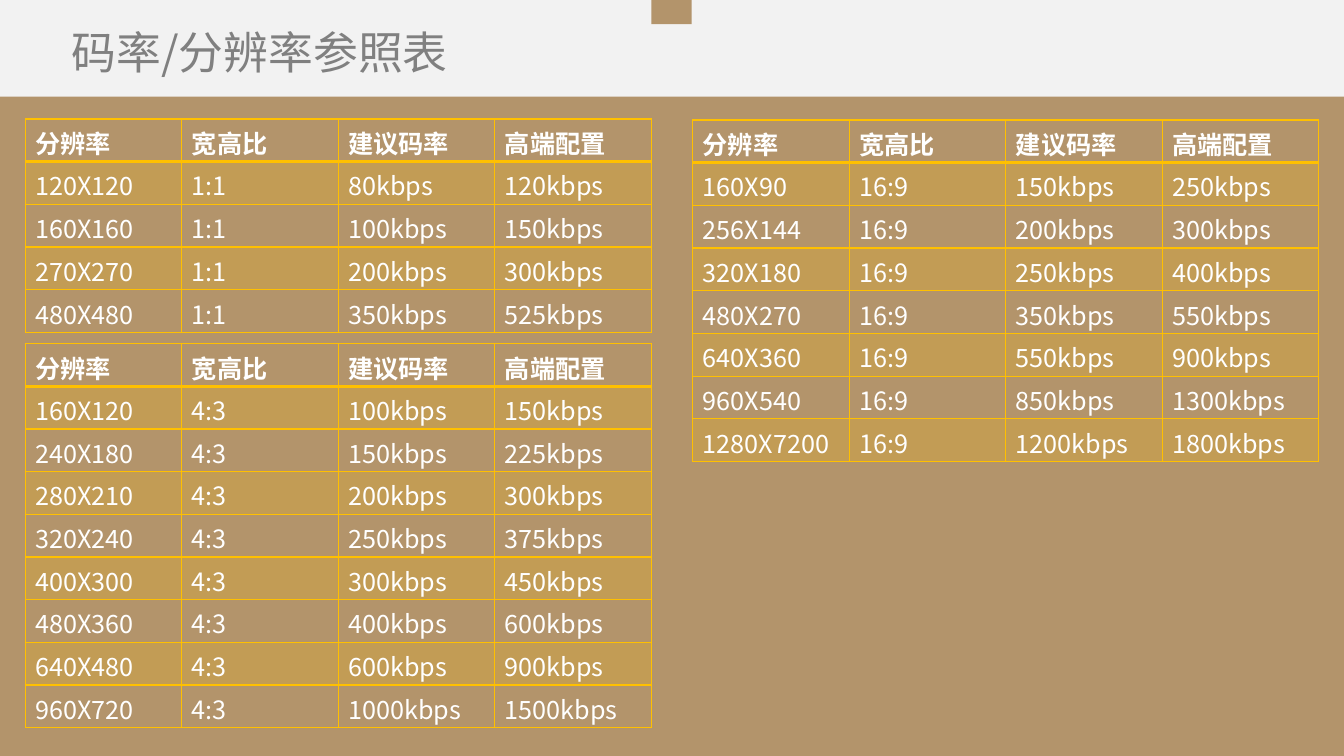
from dataclasses import dataclass
from lxml.etree import SubElement
from pptx import Presentation
from pptx.dml.color import RGBColor
from pptx.enum.shapes import MSO_SHAPE
from pptx.enum.text import MSO_AUTO_SIZE
from pptx.oxml.ns import qn
from pptx.util import Inches, Pt


@dataclass(frozen=True)
class Theme:
    """Colours, font and type sizes."""
    back: str = "F2F2F2"
    tan: str = "B3946B"
    gold: str = "FFC000"
    grey: str = "808080"
    white: str = "FFFFFF"
    font: str = "Noto Sans CJK SC"
    head: int = 32
    body: int = 18
    tint: int = 20


class Page:
    """Draws elements on one slide in one style."""

    def __init__(self, deck, theme):
        self.theme = theme
        self.slide = deck.slides.add_slide(deck.slide_layouts[6])
        fill = self.slide.background.fill
        fill.solid()
        fill.fore_color.rgb = RGBColor.from_string(theme.back)

    def label(self, para, text, size, color, bold=False):
        run = para.add_run()
        run.text = text
        font = run.font
        font.name, font.size, font.bold = self.theme.font, Pt(size), bold
        font.color.rgb = RGBColor.from_string(color)
        east = SubElement(run._r.get_or_add_rPr(), qn("a:ea"))
        east.set("typeface", self.theme.font)

    def title(self, text, *area):
        frame = self.slide.shapes.add_textbox(*map(Inches, area)).text_frame
        frame.word_wrap = False
        frame.auto_size = MSO_AUTO_SIZE.SHAPE_TO_FIT_TEXT
        self.label(frame.paragraphs[0], text, self.theme.head, self.theme.grey)

    def block(self, *area):
        shape = self.slide.shapes.add_shape(MSO_SHAPE.RECTANGLE, *map(Inches, area))
        shape.shadow.inherit = False
        shape.fill.solid()
        shape.fill.fore_color.rgb = RGBColor.from_string(self.theme.tan)
        shape.line.fill.background()

    def paint(self, parent, alpha=100):
        fill = SubElement(parent, qn("a:solidFill"))
        color = SubElement(fill, qn("a:srgbClr"), val=self.theme.gold)
        if alpha < 100:
            SubElement(color, qn("a:alpha"), val=str(alpha * 1000))

    def cell(self, cell, text, row):
        self.label(cell.text_frame.paragraphs[0], text, self.theme.body,
                   self.theme.white, row == 0)
        props = cell._tc.get_or_add_tcPr()
        thick = {0: "lnB", 1: "lnT"}.get(row)
        for side in ("lnL", "lnR", "lnT", "lnB"):
            width = Pt(2 if side == thick else 1)
            self.paint(SubElement(props, qn("a:" + side), w=str(width)))
        if row % 2:
            self.paint(props, self.theme.tint)
        else:
            cell.fill.background()

    def table(self, rows, left, top, width, height):
        area = map(Inches, (left, top, width, height))
        grid = self.slide.shapes.add_table(len(rows), len(rows[0]), *area).table
        grid.first_row = grid.horz_banding = False
        for r, row in enumerate(rows):
            for c, text in enumerate(row):
                self.cell(grid.cell(r, c), text, r)


HEADS = ("分辨率", "宽高比", "建议码率", "高端配置")
SQUARE = (("120X120", 80, 120), ("160X160", 100, 150),
          ("270X270", 200, 300), ("480X480", 350, 525))
NORMAL = (("160X120", 100, 150), ("240X180", 150, 225),
          ("280X210", 200, 300), ("320X240", 250, 375),
          ("400X300", 300, 450), ("480X360", 400, 600),
          ("640X480", 600, 900), ("960X720", 1000, 1500))
WIDE = (("160X90", 150, 250), ("256X144", 200, 300),
        ("320X180", 250, 400), ("480X270", 350, 550),
        ("640X360", 550, 900), ("960X540", 850, 1300),
        ("1280X7200", 1200, 1800))


def rates(ratio, data):
    """Return the heading row and one row per resolution."""
    return [HEADS] + [(size, ratio, f"{low}kbps", f"{high}kbps")
                      for size, low, high in data]


def main():
    """Build and save the slide."""
    deck = Presentation()
    deck.slide_width, deck.slide_height = Inches(13.33), Inches(7.5)
    page = Page(deck, Theme())
    page.title("码率/分辨率参照表", 0.61, 0.2, 5.51, 0.64)
    page.block(0, 0.96, 13.33, 6.54)
    page.block(6.46, 0, 0.4, 0.24)
    page.table(rates("1:1", SQUARE), 0.25, 1.18, 6.21, 2.12)
    page.table(rates("4:3", NORMAL), 0.25, 3.41, 6.21, 3.81)
    page.table(rates("16:9", WIDE), 6.87, 1.19, 6.21, 3.39)
    deck.save("out.pptx")


if __name__ == "__main__":
    main()
